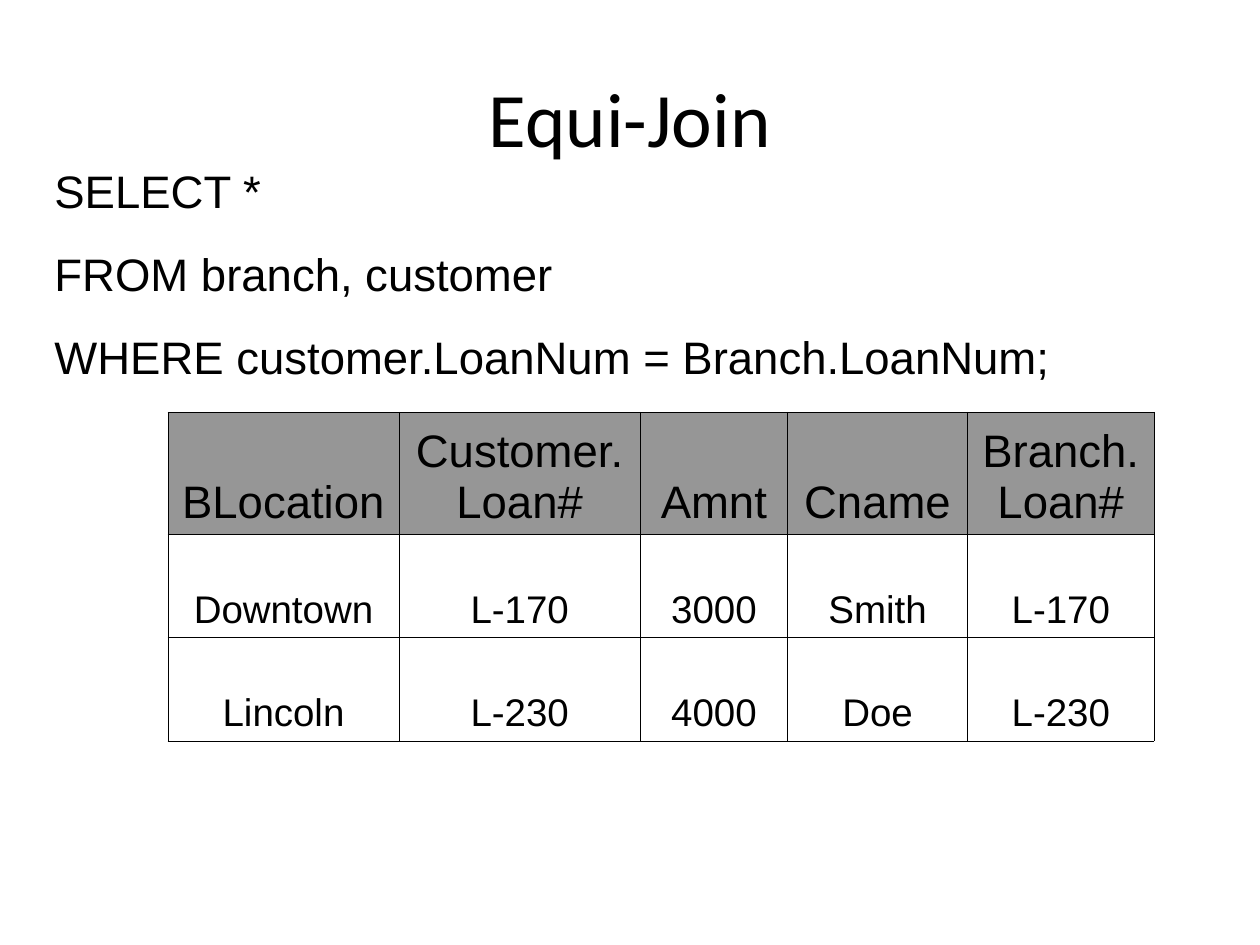
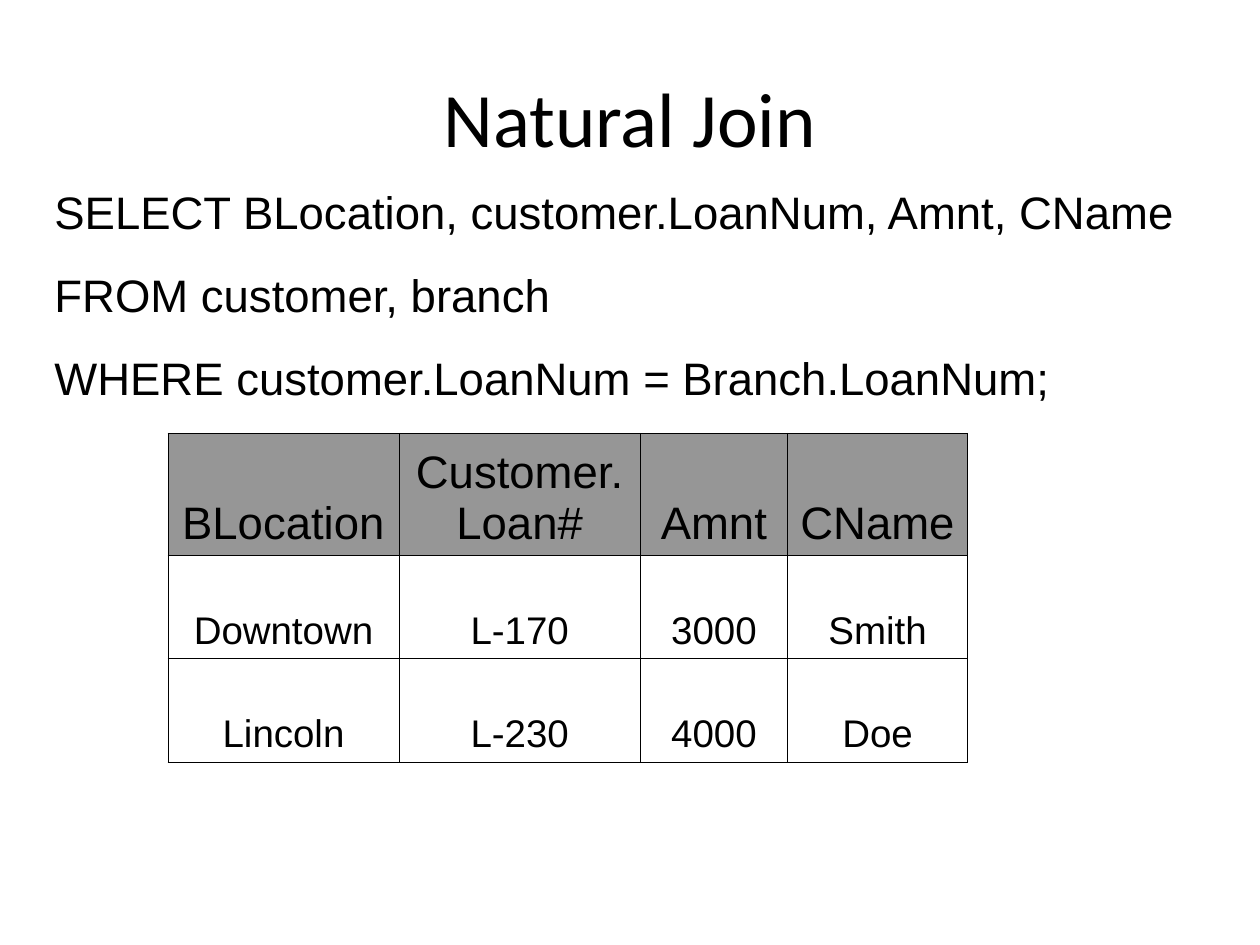
"""Build two slides that compare an equi-join with a natural join."""
import pptx
import pptx.dml.color
import pptx.enum.text
import pptx.oxml
import pptx.oxml.ns
import pptx.util

Pt = pptx.util.Pt
ALIGN = pptx.enum.text.PP_ALIGN
ANCHOR = pptx.enum.text.MSO_ANCHOR

COLORS = {"text": "000000", "border": "000000", "header": "969696"}
TITLE_FONT = "Calibri"
BODY_FONT = "Arial"
LARGE_SIZE = 26
ROW_SIZE = 22
QUERY_LEFT = 24
QUERY_HEIGHT = 133
TABLE_LEFT = 96
TABLE_OFFSET = 145.5
COLUMN_WIDTHS = [132, 138, 84, 103, 106.5]
ROW_HEIGHTS = [70, 59, 59]
BORDER_WIDTH = 0.45


def color(name):
    return pptx.dml.color.RGBColor.from_string(COLORS[name])


def format_text(text_frame, font, size, alignment):
    for paragraph in text_frame.paragraphs:
        paragraph.alignment = alignment
        for run in paragraph.runs:
            run.font.name = font
            run.font.size = Pt(size)
            run.font.color.rgb = color("text")


def add_title(slide, title):
    shape = slide.shapes.title
    shape.left, shape.top, shape.width, shape.height = Pt(36), Pt(21.6), Pt(648), Pt(90)
    shape.text_frame.text = title
    shape.text_frame.vertical_anchor = ANCHOR.MIDDLE
    format_text(shape.text_frame, TITLE_FONT, 44, ALIGN.CENTER)


def add_query(slide, lines, top, width):
    shape = slide.shapes.add_textbox(Pt(QUERY_LEFT), Pt(top), Pt(width), Pt(QUERY_HEIGHT))
    text_frame = shape.text_frame
    text_frame.word_wrap = True
    text_frame.text = "\n".join(lines)
    format_text(text_frame, BODY_FONT, LARGE_SIZE, ALIGN.LEFT)
    for paragraph in text_frame.paragraphs:
        paragraph.space_before = Pt(16.2)
        paragraph.line_spacing = Pt(31.1)


def add_borders(cell):
    properties = cell._tc.get_or_add_tcPr()
    for side in ("lnL", "lnR", "lnT", "lnB"):
        properties.append(pptx.oxml.parse_xml(
            f'<a:{side} {pptx.oxml.ns.nsdecls("a")} w="{Pt(BORDER_WIDTH)}">'
            f'<a:solidFill><a:srgbClr val="{COLORS["border"]}"/></a:solidFill>'
            f'</a:{side}>'))


def format_cell(cell, text, is_header):
    cell.text_frame.text = text
    cell.vertical_anchor = ANCHOR.BOTTOM
    add_borders(cell)
    if is_header:
        cell.fill.solid()
        cell.fill.fore_color.rgb = color("header")
    else:
        cell.fill.background()
    format_text(cell.text_frame, BODY_FONT, LARGE_SIZE if is_header else ROW_SIZE, ALIGN.CENTER)


def add_result_table(slide, rows, top):
    widths = COLUMN_WIDTHS[:len(rows[0])]
    table = slide.shapes.add_table(
        len(rows), len(widths), Pt(TABLE_LEFT), Pt(top),
        Pt(sum(widths)), Pt(sum(ROW_HEIGHTS))).table
    table.first_row = False
    table.horz_banding = False
    for column, width in zip(table.columns, widths):
        column.width = Pt(width)
    for row_index, (row, height) in enumerate(zip(rows, ROW_HEIGHTS)):
        table.rows[row_index].height = Pt(height)
        for column_index, text in enumerate(row):
            format_cell(table.cell(row_index, column_index), text, row_index == 0)


def add_join_slide(presentation, title, query, query_top, query_width, rows):
    slide = presentation.slides.add_slide(presentation.slide_layouts[5])
    add_title(slide, title)
    add_query(slide, query, query_top, query_width)
    add_result_table(slide, rows, query_top + TABLE_OFFSET)


def main():
    presentation = pptx.Presentation()
    presentation.slide_width = Pt(720)
    presentation.slide_height = Pt(540)
    join_condition = "WHERE customer.LoanNum = Branch.LoanNum;"
    shared_header = ["BLocation", "Customer.\nLoan#", "Amnt"]
    loans = [["Downtown", "L-170", "3000", "Smith"], ["Lincoln", "L-230", "4000", "Doe"]]

    add_join_slide(
        presentation, "Equi-Join",
        ["SELECT *", "FROM branch, customer", join_condition], 90, 600,
        [shared_header + ["Cname", "Branch.\nLoan#"]] + [loan + [loan[1]] for loan in loans])
    add_join_slide(
        presentation, "Natural Join",
        ["SELECT BLocation, customer.LoanNum, Amnt, CName", "FROM customer, branch",
         join_condition], 102, 678,
        [shared_header + ["CName"]] + loans)
    presentation.save("out.pptx")


if __name__ == "__main__":
    main()
